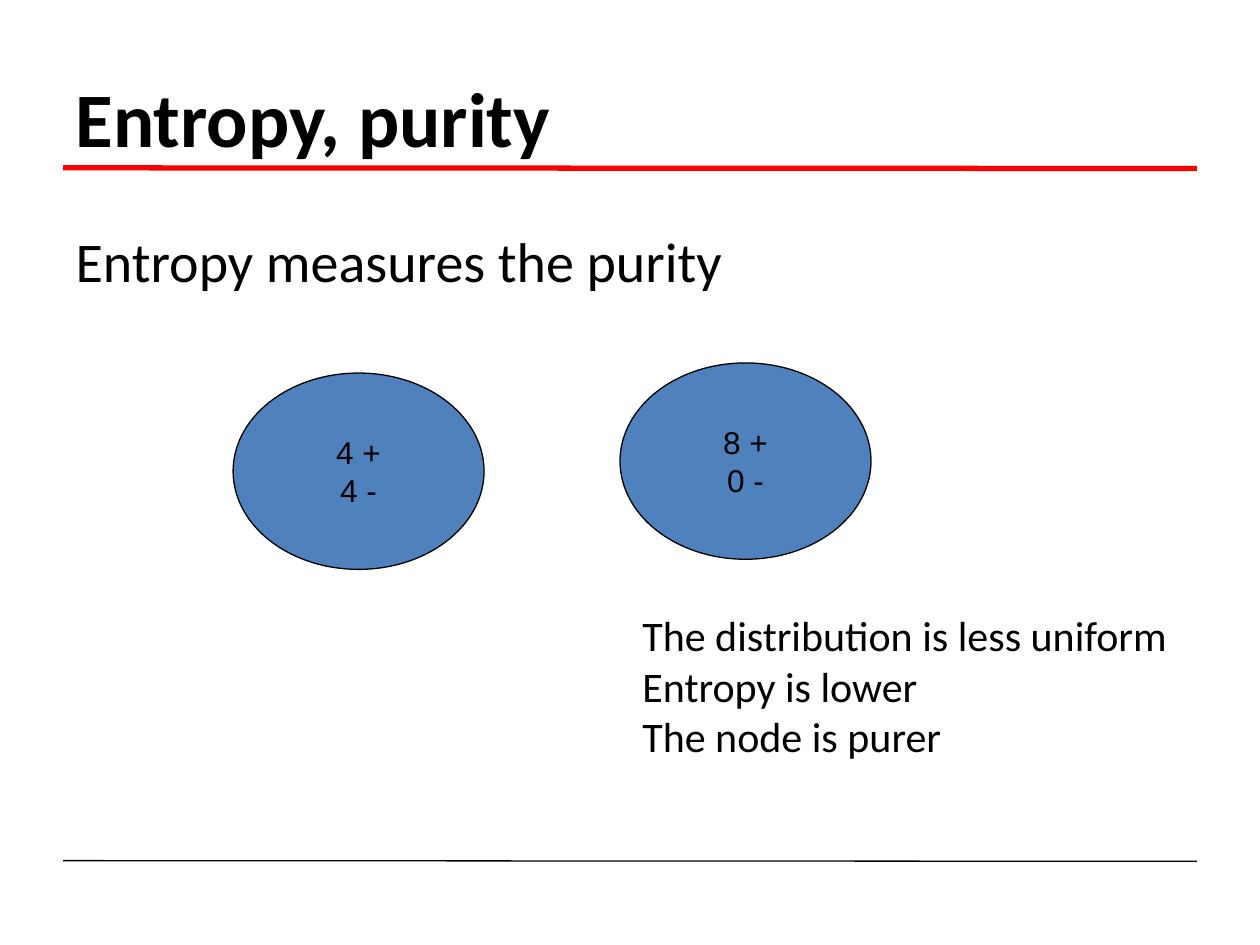
from lxml import etree
from pptx import Presentation
from pptx.dml.color import RGBColor
from pptx.enum.shapes import MSO_CONNECTOR, MSO_SHAPE
from pptx.enum.text import MSO_ANCHOR, MSO_AUTO_SIZE, PP_ALIGN
from pptx.oxml.ns import qn
from pptx.util import Pt

LINE, OVAL = MSO_CONNECTOR.STRAIGHT, MSO_SHAPE.OVAL
LEFT, MID = PP_ALIGN.LEFT, PP_ALIGN.CENTER
TOP, CENTER = MSO_ANCHOR.TOP, MSO_ANCHOR.MIDDLE
FIXED = MSO_AUTO_SIZE.NONE

BLACK = RGBColor(0x00, 0x00, 0x00)
RED = RGBColor(0xFF, 0x00, 0x00)
BLUE = RGBColor(0x4F, 0x81, 0xBD)

HEAD = {"name": "Calibri", "size": Pt(44), "bold": True}
BODY = {"name": "Calibri", "size": Pt(32), "bold": False}
NOTE = {"name": "Calibri", "size": Pt(24)}
NODE = {"name": "Arial", "size": Pt(18)}


def place(shape, box):
    for key, value in zip(("left", "top", "width", "height"), box):
        setattr(shape, key, Pt(value))


def write(shape, lines, form, align=LEFT, anchor=TOP, wrap=True):
    frame = shape.text_frame
    frame.text = "\n".join(lines)
    frame.auto_size = FIXED
    frame.word_wrap = wrap
    frame.vertical_anchor = anchor
    for para in frame.paragraphs:
        para.alignment = align
        para.space_before = Pt(0)
        for run in para.runs:
            run.font.color.rgb = BLACK
            for key, value in form.items():
                setattr(run.font, key, value)


def add_rule(slide, box, color, weight):
    left, top, width, drop = box
    rule = slide.shapes.add_connector(
        LINE, Pt(left), Pt(top), Pt(left + width), Pt(top + drop))
    rule.line.color.rgb = color
    rule.line.width = Pt(weight)
    etree.SubElement(rule._element.spPr, qn("a:effectLst"))


def add_title(slide, box):
    title = slide.shapes.title
    place(title, box)
    write(title, ["Entropy, purity"], HEAD, anchor=CENTER)


def add_body(slide, box):
    body = slide.placeholders[1]
    place(body, box)
    write(body, ["Entropy measures the purity"], BODY)
    props = body.text_frame.paragraphs[0]._p.get_or_add_pPr()
    props.set("marL", str(Pt(27)))
    props.set("indent", str(-Pt(27)))
    etree.SubElement(props, qn("a:buNone"))


def add_node(slide, box, counts):
    node = slide.shapes.add_shape(OVAL, *map(Pt, box))
    node.shadow.inherit = False
    node.fill.solid()
    node.fill.fore_color.rgb = BLUE
    node.line.color.rgb = BLACK
    node.line.width = Pt(0.75)
    write(node, counts, NODE, MID, CENTER, False)


def add_note(slide, box):
    note = slide.shapes.add_textbox(*map(Pt, box))
    lines = ["The distribution is less uniform", "Entropy is lower",
             "The node is purer"]
    write(note, lines, NOTE, wrap=False)


def main():
    deck = Presentation()
    deck.slide_width, deck.slide_height = Pt(720), Pt(540)
    slide = deck.slides.add_slide(deck.slide_layouts[1])
    add_rule(slide, (36, 95.9, 648, 0.4), RED, 3)
    add_rule(slide, (36, 491.8, 648, 0.4), BLACK, 0.75)
    add_title(slide, (36, 21.6, 648, 90))
    add_body(slide, (36, 126, 648, 356.4))
    add_node(slide, (133.2, 213.2, 143.4, 112.2), ["4 +", "4 -"])
    add_node(slide, (354.3, 207.4, 143.4, 112.2), ["8 +", "0 -"])
    add_note(slide, (360, 345, 314.6, 93.6))
    deck.save("out.pptx")


if __name__ == "__main__":
    main()
